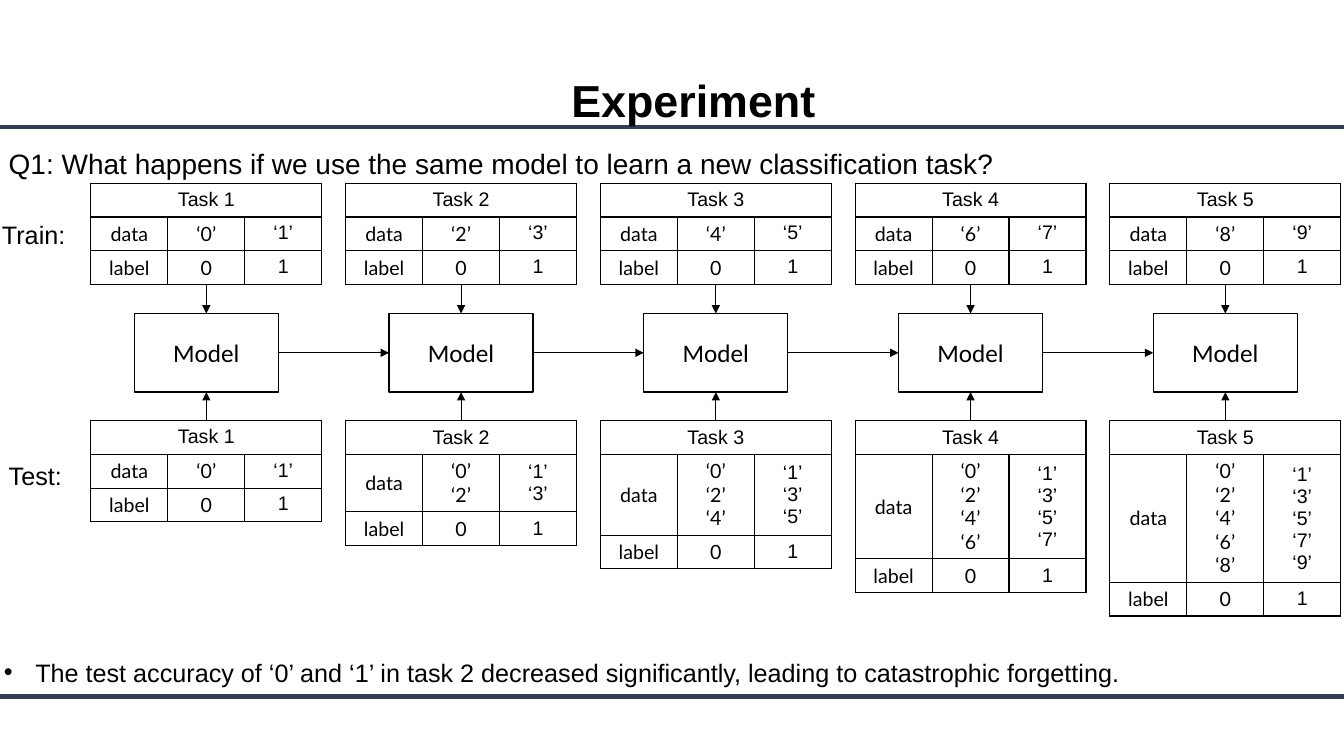
import pptx
import pptx.util
import pptx.dml.color
import pptx.enum.shapes
import pptx.enum.text
import pptx.oxml.ns
import lxml.etree
from dataclasses import dataclass

Cm = pptx.util.Cm
Pt = pptx.util.Pt
RGB = pptx.dml.color.RGBColor
ALIGN = pptx.enum.text.PP_ALIGN
ANCHOR = pptx.enum.text.MSO_ANCHOR
qn = pptx.oxml.ns.qn


@dataclass(frozen=True)
class Theme:
    ink: str = "000000"
    rule: str = "333F50"
    text_font: str = "Arial"
    table_font: str = "Lato"
    model_font: str = "Calibri"
    title_size: int = 32
    question_size: int = 20
    body_size: int = 18
    table_size: int = 14
    rule_width: float = 3
    border_width: float = 1
    arrow_width: float = 0.5


theme = Theme()


def style_text(text_frame, size, font, align=ALIGN.LEFT, spacing=None, bold=False):
    """Format every paragraph and run of a text frame alike."""
    for paragraph in text_frame.paragraphs:
        paragraph.alignment = align
        if spacing:
            paragraph.line_spacing = spacing
        for run in paragraph.runs:
            run.font.size = Pt(size)
            run.font.name = font
            run.font.bold = bold
            run.font.color.rgb = RGB.from_string(theme.ink)


def add_line(x1, y1, x2, y2, color, width, arrow=True):
    """Draw a straight line in centimetres, with an arrowhead at its end if wanted."""
    line = slide.shapes.add_connector(
        pptx.enum.shapes.MSO_CONNECTOR.STRAIGHT, Cm(x1), Cm(y1), Cm(x2), Cm(y2))
    line.line.color.rgb = RGB.from_string(color)
    line.line.width = Pt(width)
    properties = line._element.spPr
    if arrow:
        outline = properties.find(qn("a:ln"))
        lxml.etree.SubElement(outline, qn("a:tailEnd"), type="triangle")
    lxml.etree.SubElement(properties, qn("a:effectLst"))


presentation = pptx.Presentation()
presentation.slide_width = Cm(33.87)
presentation.slide_height = Cm(19.05)
slide = presentation.slides.add_slide(presentation.slide_layouts[6])

# Rules under the title and above the footer
for rule_y in (17.55, 3.2):
    add_line(0, rule_y, 33.87, rule_y, theme.rule, theme.rule_width, arrow=False)

# Title, question, row labels and conclusion
texts = [
    ("Experiment", 14.15, 1.04, 7.47, 2.06, theme.title_size, 1.5, True),
    ("Q1: What happens if we use the same model to learn a new classification task?",
     -0.03, 3.15, 33.87, 1.37, theme.question_size, 1.5, False),
    ("Train:", -0.2, 5.41, 2.21, 1.02, theme.body_size, None, False),
    ("Test:", -0.03, 11.48, 2.21, 1.02, theme.body_size, None, False),
    ("The test accuracy of ‘0’ and ‘1’ in task 2 decreased significantly, "
     "leading to catastrophic forgetting.",
     -0.15, 16.05, 31.14, 1.27, theme.body_size, 1.5, False),
]
for words, left, top, width, height, size, spacing, bold in texts:
    text_box = slide.shapes.add_textbox(Cm(left), Cm(top), Cm(width), Cm(height))
    text_box.text_frame.word_wrap = True
    text_box.text_frame.text = words
    style_text(text_box.text_frame, size, theme.text_font, spacing=spacing, bold=bold)

# The conclusion, added last, is a bullet point
bullet = text_box.text_frame.paragraphs[0]._p.get_or_add_pPr()
bullet.set("marL", str(Cm(0.79)))
bullet.set("indent", str(Cm(-0.79)))
lxml.etree.SubElement(bullet, qn("a:buFont"), typeface=theme.text_font)
lxml.etree.SubElement(bullet, qn("a:buChar"), char="•")

# Five task columns: training table, model, test table
task_count = 5
first_left, pitch = 2.29, 6.42
column_width, row_height, extra_line = 1.94, 0.85, 0.59
train_top, test_top = 4.62, 10.6
model_top, model_width, model_height = 7.9, 3.63, 1.98

for task in range(task_count):
    table_left = first_left + task * pitch
    center = table_left + 1.5 * column_width
    model_left = center - model_width / 2
    model_bottom = model_top + model_height

    # Training shows the new digit pair, testing all pairs so far
    for top, first_pair in ((train_top, task), (test_top, 0)):
        pairs = range(first_pair, task + 1)
        row_heights = [row_height, row_height + extra_line * (len(pairs) - 1), row_height]
        contents = [
            [f"Task {task + 1}", "", ""],
            ["data"] + ["\n".join(f"‘{2 * pair + digit}’" for pair in pairs)
                        for digit in (0, 1)],
            ["label", "0", "1"],
        ]
        table = slide.shapes.add_table(
            3, 3, Cm(table_left), Cm(top), Cm(3 * column_width), Cm(sum(row_heights))).table
        table.first_row = False
        table.horz_banding = False
        for column in table.columns:
            column.width = Cm(column_width)
        table.cell(0, 0).merge(table.cell(0, 2))
        for row_index, row in enumerate(contents):
            table.rows[row_index].height = Cm(row_heights[row_index])
            for column_index, words in enumerate(row):
                cell = table.cell(row_index, column_index)
                cell.text_frame.text = words
                uses_text_font = row_index == 0 or column_index == 2
                font = theme.text_font if uses_text_font else theme.table_font
                style_text(cell.text_frame, theme.table_size, font, ALIGN.CENTER)
                cell.vertical_anchor = ANCHOR.MIDDLE if len(pairs) > 1 else ANCHOR.TOP
                cell_properties = cell._tc.get_or_add_tcPr()
                for side in ("lnL", "lnR", "lnT", "lnB"):
                    border = lxml.etree.SubElement(
                        cell_properties, qn(f"a:{side}"), w=str(Pt(theme.border_width)))
                    fill = lxml.etree.SubElement(border, qn("a:solidFill"))
                    lxml.etree.SubElement(fill, qn("a:srgbClr"), val=theme.ink)
                cell.fill.background()

    model = slide.shapes.add_shape(
        pptx.enum.shapes.MSO_SHAPE.RECTANGLE,
        Cm(model_left), Cm(model_top), Cm(model_width), Cm(model_height))
    model.shadow.inherit = False
    model.fill.background()
    model.line.color.rgb = RGB.from_string(theme.ink)
    model.line.width = Pt(theme.border_width)
    model.text_frame.text = "Model"
    model.text_frame.vertical_anchor = ANCHOR.MIDDLE
    style_text(model.text_frame, theme.body_size, theme.model_font, ALIGN.CENTER)

    arrows = [
        (center, train_top + 3 * row_height, center, model_top),
        (center, test_top, center, model_bottom),
    ]
    if task < task_count - 1:
        model_middle = model_top + model_height / 2
        arrows.append((model_left + model_width, model_middle,
                       model_left + pitch, model_middle))
    for arrow in arrows:
        add_line(*arrow, theme.ink, theme.arrow_width)

presentation.save("out.pptx")
